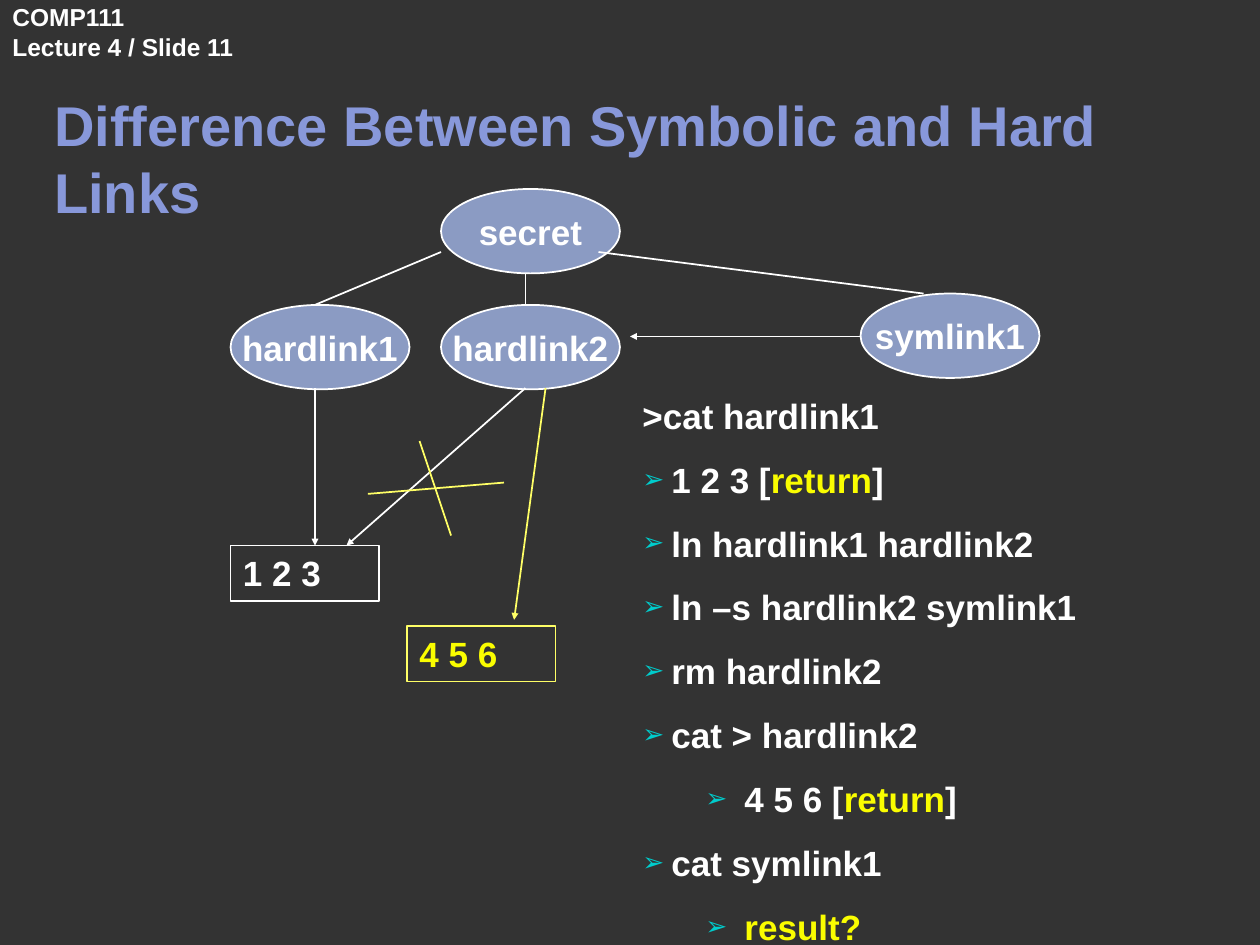
"""Build the slide on symbolic and hard links."""
import pptx
import pptx.util
import pptx.dml.color
import pptx.enum.shapes
import pptx.enum.text
import pptx.oxml

Inches = pptx.util.Inches
Pt = pptx.util.Pt
RGBColor = pptx.dml.color.RGBColor
SHAPE = pptx.enum.shapes.MSO_SHAPE
ALIGN = pptx.enum.text.PP_ALIGN
ANCHOR = pptx.enum.text.MSO_ANCHOR

DARK = RGBColor(0x33, 0x33, 0x33)
WHITE = RGBColor(0xFF, 0xFF, 0xFF)
BLUE = RGBColor(0x88, 0x98, 0xDA)
OVAL = RGBColor(0x8B, 0x9B, 0xC3)
GOLD = RGBColor(0xFA, 0xFD, 0x00)
LEMON = RGBColor(0xFF, 0xFF, 0x66)
TEAL = RGBColor(0x00, 0xCC, 0xCC)

W, H = 1.42, 0.67
NODES = [("secret", 3.5, 1.5), ("hardlink1", 1.83, 2.42),
         ("symlink1", 6.83, 2.33), ("hardlink2", 3.5, 2.42)]
FILES = [("1 2 3", 1.83, 4.33, WHITE, WHITE),
         ("4 5 6", 3.23, 4.97, LEMON, GOLD)]
LINES = [((3.5, 2), (2.5, 2.42), WHITE, False),
         ((4.75, 2), (7.33, 2.33), WHITE, False),
         ((4.17, 2.17), (4.17, 2.42), WHITE, False),
         ((2.5, 3.08), (2.5, 4.33), WHITE, True),
         ((4.17, 3.08), (2.75, 4.33), WHITE, True),
         ((6.83, 2.67), (5, 2.67), WHITE, True),
         ((3.33, 3.5), (3.58, 4.25), LEMON, False),
         ((4, 3.83), (2.92, 3.92), LEMON, False),
         ((4.33, 3.08), (4.08, 4.92), LEMON, True)]
STEPS = [(None, [(">cat hardlink1", WHITE)]),
         (0, [("1 2 3 [", WHITE), ("return", GOLD), ("]", WHITE)]),
         (0, [("ln hardlink1 hardlink2", WHITE)]),
         (0, [("ln –s hardlink2 symlink1", WHITE)]),
         (0, [("rm hardlink2", WHITE)]),
         (0, [("cat > hardlink2", WHITE)]),
         (1, [("4 5 6 [", WHITE), ("return", GOLD), ("]", WHITE)]),
         (0, [("cat symlink1", WHITE)]),
         (1, [("result?", GOLD)])]
INDENTS = [(0.23, -0.23), (0.81, -0.31)]


def write(para, text, size=20, color=WHITE, align=ALIGN.LEFT):
    """Add a bold run to a paragraph."""
    para.alignment = align
    run = para.add_run()
    run.text = text
    run.font.name = "Arial"
    run.font.size = Pt(size)
    run.font.bold = True
    run.font.color.rgb = color


def add(parent, tag, **attrs):
    """Append a drawing element with attributes."""
    node = pptx.oxml.parse_xml(
        f'<a:{tag} xmlns:a="http://schemas.openxmlformats.org/drawingml/2006/main"/>')
    for key, val in attrs.items():
        node.set(key, str(val))
    parent.append(node)
    return node


def bullet(para, level):
    """Give a paragraph an arrow bullet and a hanging indent."""
    left, hang = INDENTS[level]
    props = para._p.get_or_add_pPr()
    props.set("marL", str(Inches(left)))
    props.set("indent", str(Inches(hang)))
    add(add(props, "buClr"), "srgbClr", val=TEAL)
    add(props, "buSzPct", val=75000)
    add(props, "buFont", typeface="Arial")
    add(props, "buChar", char="➢")
    para.level = level


def shape(slide, kind, box, text, line, color, fill=None, align=ALIGN.LEFT):
    """Draw an outlined shape holding one line of text."""
    item = slide.shapes.add_shape(kind, *map(Inches, box))
    item.shadow.inherit = False
    if fill is None:
        item.fill.background()
    else:
        item.fill.solid()
        item.fill.fore_color.rgb = fill
    item.line.color.rgb = line
    item.line.width = Pt(1)
    frame = item.text_frame
    frame.word_wrap = fill is None
    frame.vertical_anchor = ANCHOR.TOP if fill is None else ANCHOR.MIDDLE
    write(frame.paragraphs[0], text, color=color, align=align)


def line(slide, start, end, color, arrow):
    """Draw a straight line, with a small arrowhead if asked."""
    item = slide.shapes.add_connector(
        pptx.enum.shapes.MSO_CONNECTOR.STRAIGHT, *map(Inches, start + end))
    item.line.color.rgb = color
    item.line.width = Pt(1)
    if arrow:
        add(item.line._get_or_add_ln(), "tailEnd", type="triangle", w="sm", len="sm")
    add(item._element.spPr, "effectLst")


def header(slide):
    """Write the course label in the corner."""
    box = slide.shapes.add_textbox(Inches(0), Inches(0), Inches(2.4), Inches(0.5))
    frame = box.text_frame
    frame.word_wrap = True
    frame.vertical_anchor = ANCHOR.TOP
    frame.margin_top = frame.margin_bottom = Inches(0.02)
    write(frame.paragraphs[0], "COMP111", size=14)
    write(frame.add_paragraph(), "Lecture 4 / Slide 11", size=14)


def title(slide):
    """Place and write the title."""
    item = slide.shapes.title
    item.left, item.top, item.width, item.height = map(Inches, (0.33, 0.67, 9.25, 1.17))
    frame = item.text_frame
    frame.auto_size = pptx.enum.text.MSO_AUTO_SIZE.NONE
    frame.vertical_anchor = ANCHOR.TOP
    write(frame.paragraphs[0], "Difference Between Symbolic and Hard Links",
          size=32, color=BLUE)


def steps(slide):
    """List the shell commands."""
    box = slide.shapes.add_textbox(*map(Inches, (5, 3.08, 4.42, 5)))
    frame = box.text_frame
    frame.word_wrap = True
    for i, (level, runs) in enumerate(STEPS):
        para = frame.add_paragraph() if i else frame.paragraphs[0]
        if level is not None:
            bullet(para, level)
        if i:
            para.space_before = Pt(12.5)
        for text, color in runs:
            write(para, text, color=color)


def main():
    """Build and save the slide."""
    deck = pptx.Presentation()
    deck.slide_width, deck.slide_height = Inches(10), Inches(7.5)
    slide = deck.slides.add_slide(deck.slide_layouts[5])
    slide.background.fill.solid()
    slide.background.fill.fore_color.rgb = DARK
    header(slide)
    title(slide)
    for name, x, y in NODES:
        shape(slide, SHAPE.OVAL, (x, y, W, H), name, WHITE, WHITE,
              fill=OVAL, align=ALIGN.CENTER)
    for text, x, y, edge, color in FILES:
        shape(slide, SHAPE.RECTANGLE, (x, y, 1.18, 0.44), text, edge, color)
    for item in LINES:
        line(slide, *item)
    steps(slide)
    deck.save("out.pptx")


if __name__ == "__main__":
    main()
